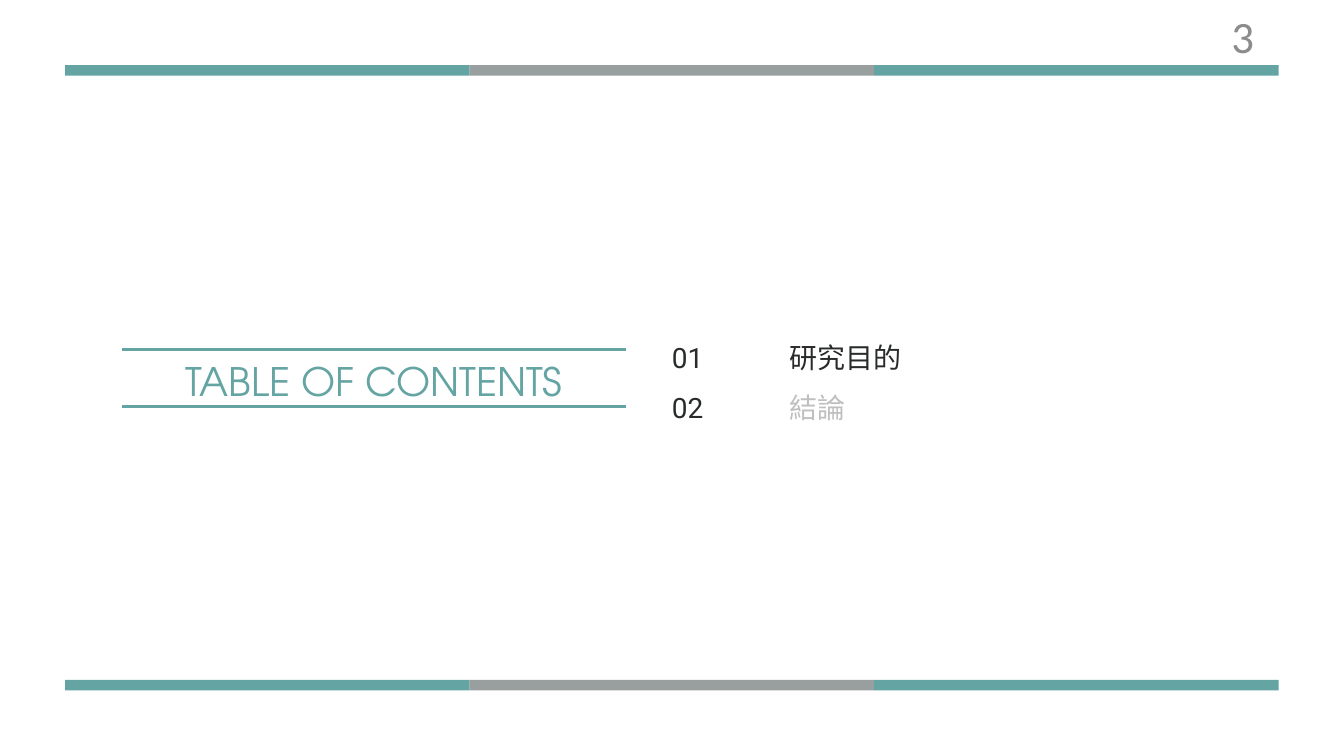
from lxml.etree import SubElement
from pptx import Presentation
from pptx.dml.color import RGBColor
from pptx.enum.shapes import MSO_CONNECTOR, MSO_SHAPE
from pptx.enum.text import MSO_ANCHOR, MSO_AUTO_SIZE, PP_ALIGN
from pptx.oxml.ns import qn
from pptx.util import Cm, Pt

TEAL = "64A4A3"
GRAY = "999F9F"
DARK = "292B2B"
PALE = "BFBFBF"


def color(code):
    return RGBColor.from_string(code)


def add_bar(slide, top):
    width = 15.29
    for col, code in enumerate((TEAL, GRAY, TEAL)):
        bar = slide.shapes.add_shape(
            MSO_SHAPE.RECTANGLE, Cm(2.46 + col * width), Cm(top), Cm(width), Cm(0.4))
        bar.shadow.inherit = False
        bar.fill.solid()
        bar.fill.fore_color.rgb = color(code)
        bar.line.fill.background()


def add_rule(slide, top):
    rule = slide.shapes.add_connector(
        MSO_CONNECTOR.STRAIGHT, Cm(4.6), Cm(top), Cm(23.65), Cm(top))
    rule.line.color.rgb = color(TEAL)
    rule.line.width = Pt(3)
    SubElement(rule._element.spPr, qn("a:effectLst"))


def set_frame(shape, anchor=MSO_ANCHOR.TOP, inset=0):
    frame = shape.text_frame
    frame.word_wrap = True
    frame.auto_size = MSO_AUTO_SIZE.NONE
    frame.vertical_anchor = anchor
    frame.margin_left = frame.margin_right = Cm(inset)
    frame.margin_top = frame.margin_bottom = Cm(0)
    return frame


def add_run(para, text, size, face, code, align=PP_ALIGN.LEFT, pitch=None):
    para.alignment = align
    if pitch:
        para.line_spacing = Pt(pitch)
    run = para.add_run()
    run.text = text
    run.font.size = Pt(size)
    run.font.name = face
    run.font.color.rgb = color(code)
    SubElement(run.font._element, qn("a:ea")).set("typeface", face)


def add_list(slide, left, width, face, items):
    box = slide.shapes.add_textbox(Cm(left), Cm(12.24), Cm(width), Cm(3.65))
    frame = set_frame(box)
    for row, (text, code) in enumerate(items):
        para = frame.add_paragraph() if row else frame.paragraphs[0]
        add_run(para, text, 30, face, code, pitch=54)


def set_title(slide, text):
    title = slide.shapes.title
    title.left, title.top = Cm(5.11), Cm(13.21)
    title.width, title.height = Cm(18.03), Cm(1.98)
    para = set_frame(title).paragraphs[0]
    add_run(para, text, 42, "TeX Gyre Adventor", TEAL, PP_ALIGN.CENTER, 58.8)


def add_number(slide, text):
    box = slide.shapes.add_textbox(Cm(41.73), Cm(0.84), Cm(5.92), Cm(1.02))
    para = set_frame(box, MSO_ANCHOR.MIDDLE, 0.25).paragraphs[0]
    add_run(para, text, 48, "Calibri", "8C8C8C", PP_ALIGN.RIGHT)


def main():
    deck = Presentation()
    deck.slide_width, deck.slide_height = Cm(50.8), Cm(28.58)
    slide = deck.slides.add_slide(deck.slide_layouts[5])
    for top in (2.46, 25.7):
        add_bar(slide, top)
    add_list(slide, 29.85, 19.94, "Noto Sans CJK SC",
             [("研究目的", DARK), ("結論", PALE)])
    add_list(slide, 25.4, 4.45, "Roboto", [("01", DARK), ("02", DARK)])
    set_title(slide, "TABLE OF CONTENTS")
    for top in (13.21, 15.37):
        add_rule(slide, top)
    add_number(slide, "3")
    deck.save("out.pptx")


if __name__ == "__main__":
    main()
